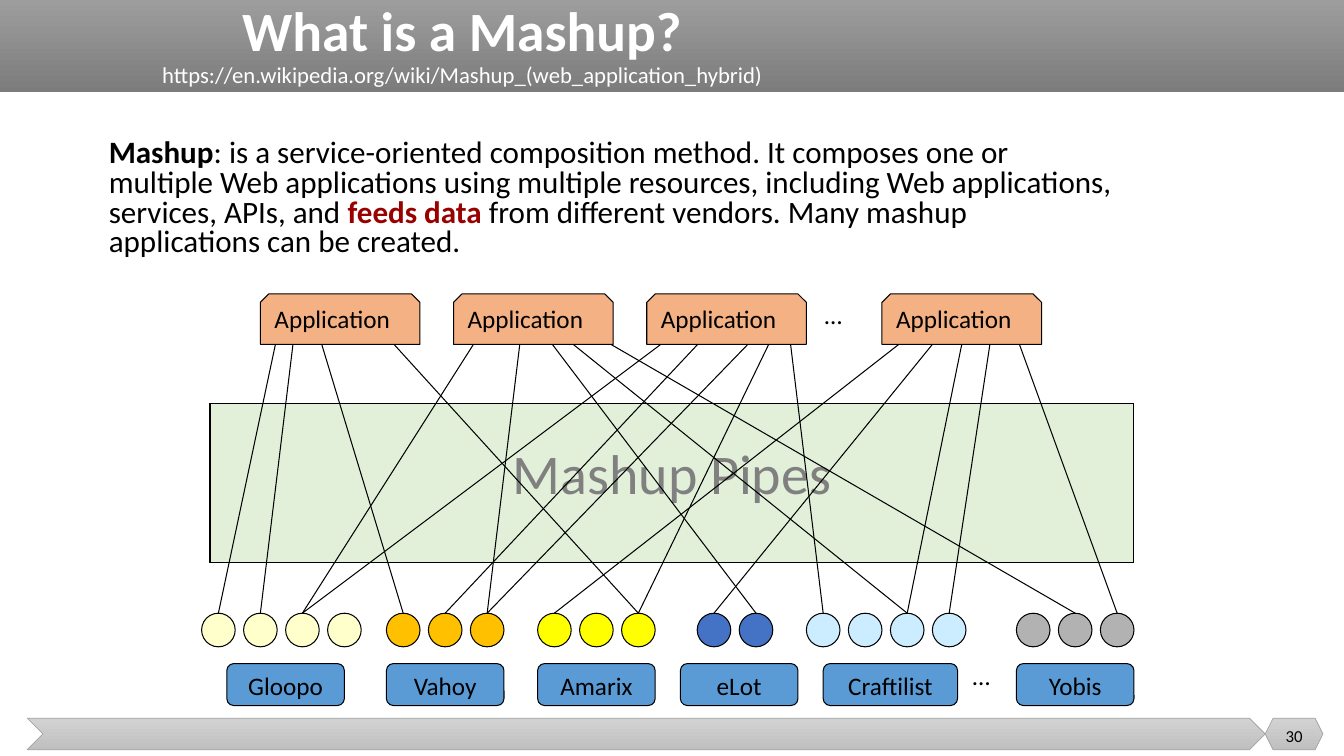
"""Builds the slide that explains mashups with a pipe diagram."""
from dataclasses import dataclass

import lxml.etree
import pptx
import pptx.dml.color
import pptx.enum.shapes
import pptx.enum.text
import pptx.oxml.ns
import pptx.util

SHAPE = pptx.enum.shapes.MSO_SHAPE
ALIGN = pptx.enum.text.PP_ALIGN
ANCHOR = pptx.enum.text.MSO_ANCHOR
EMU_PER_PX = 9525


@dataclass(frozen=True)
class Theme:
    """Colours, font and type sizes of the slide."""
    font: str = "Calibri"
    ink: str = "000000"
    paper: str = "FFFFFF"
    accent: str = "990000"
    banner: tuple = ("9D9D9D", "7C7C7C")
    footer: tuple = ("D2D2D2", "C0C0C0")
    footer_line: str = "A5A5A5"
    pipes: str = "E2F0D9"
    pipes_label: str = "808080"
    application: str = "F4B183"
    source: str = "5B9BD5"
    title_size: float = 39.6
    link_size: float = 16.2
    body_size: float = 22.2
    pipes_size: float = 40
    label_size: float = 18
    number_size: float = 12
    line_width: float = 0.75
    footer_line_width: float = 0.5


@dataclass(frozen=True)
class Source:
    """A data source, its ports, and links as (port, end x, end y)."""
    name: str
    left: int
    width: int
    ports_left: int
    port_count: int
    port_colour: str
    links: tuple


THEME = Theme()
APP_LEFTS = (248, 432, 616, 840)
APP_TOP, APP_WIDTH, APP_HEIGHT = 280, 152, 48
PIPES_BOX = (200, 384, 880, 152)
PORT_TOP, PORT_SIZE, PORT_PITCH = 584, 32, 40
SOURCE_TOP, SOURCE_HEIGHT = 632, 40
SOURCES = (
    Source("Gloopo", 216, 112, 192, 4, "FFFFCC",
           ((0, 264, 320), (1, 280, 320), (2, 456, 320), (2, 640, 320))),
    Source("Vahoy", 368, 112, 368, 3, "FFC000",
           ((0, 304, 320), (1, 672, 320), (2, 496, 320), (2, 720, 320))),
    Source("Amarix", 512, 112, 512, 3, "FFFF00",
           ((0, 856, 328), (2, 368, 320), (2, 736, 320))),
    Source("eLot", 648, 112, 664, 2, "4472C4",
           ((0, 888, 328), (1, 520, 320))),
    Source("Craftilist", 784, 128, 768, 4, "CCECFF",
           ((0, 752, 320), (2, 536, 320), (2, 916, 328), (3, 944, 320))),
    Source("Yobis", 968, 112, 968, 3, "B2B2B2",
           ((1, 568, 320), (2, 968, 320))),
)


def px(length):
    """Turn pixels into EMU."""
    return pptx.util.Emu(length * EMU_PER_PX)


def rgb(colour):
    """Turn a hex string into a colour."""
    return pptx.dml.color.RGBColor.from_string(colour)


def add_run(paragraph, text, size, colour=THEME.ink, bold=False):
    """Append a formatted run to a paragraph."""
    run = paragraph.add_run()
    run.text = text
    run.font.name = THEME.font
    run.font.size = pptx.util.Pt(size)
    run.font.bold = bold
    run.font.color.rgb = rgb(colour)


def add_box(slide, preset, box, fill=None, line=THEME.ink, width=THEME.line_width):
    """Add a preset shape; a pair of colours makes a vertical gradient."""
    shape = slide.shapes.add_shape(preset, *map(px, box))
    shape.shadow.inherit = False
    if fill is None:
        shape.fill.background()
    elif isinstance(fill, tuple):
        shape.fill.gradient()
        shape.fill.gradient_angle = 270
        for stop, colour in zip(shape.fill.gradient_stops, fill):
            stop.color.rgb = rgb(colour)
    else:
        shape.fill.solid()
        shape.fill.fore_color.rgb = rgb(fill)
    if line is None:
        shape.line.fill.background()
    else:
        shape.line.color.rgb = rgb(line)
        shape.line.width = pptx.util.Pt(width)
    return shape


def add_label(shape, text, size=THEME.label_size, colour=THEME.ink,
              align=ALIGN.CENTER, anchor=ANCHOR.TOP):
    """Write one line of text into a shape."""
    frame = shape.text_frame
    frame.vertical_anchor = anchor
    frame.paragraphs[0].alignment = align
    add_run(frame.paragraphs[0], text, size, colour)


def add_note(slide, box, text, wrap=False, **style):
    """Add a free-standing label."""
    note = slide.shapes.add_textbox(*map(px, box))
    note.text_frame.word_wrap = wrap
    add_label(note, text, **style)


def add_link(slide, start, end):
    """Add a straight line between two points."""
    link = slide.shapes.add_connector(
        pptx.enum.shapes.MSO_CONNECTOR.STRAIGHT, *map(px, start + end))
    link.line.color.rgb = rgb(THEME.ink)
    link.line.width = pptx.util.Pt(THEME.line_width)
    lxml.etree.SubElement(link._element.spPr, pptx.oxml.ns.qn("a:effectLst"))


def place(slide, placeholder, box):
    """Move a placeholder to a box in front of the backdrop."""
    placeholder.left, placeholder.top, placeholder.width, placeholder.height = map(px, box)
    slide.shapes._spTree.append(placeholder._element)
    placeholder.text_frame.auto_size = pptx.enum.text.MSO_AUTO_SIZE.NONE
    placeholder.text_frame.word_wrap = True
    return placeholder.text_frame


def add_backdrop(slide):
    """Draw the top banner and the footer band."""
    add_box(slide, SHAPE.RECTANGLE, (0, 0, 1280, 88), THEME.banner, None)
    for preset, left, width in ((SHAPE.CHEVRON, 26, 1179), (SHAPE.HEXAGON, 1205, 55)):
        add_box(slide, preset, (left, 684, width, 30), THEME.footer,
                THEME.footer_line, THEME.footer_line_width)
    add_note(slide, (1205, 682, 55, 38), "30", wrap=True,
             size=THEME.number_size, anchor=ANCHOR.MIDDLE)


def write_title(slide):
    """Fill the title placeholder with the question and its link."""
    frame = place(slide, slide.shapes.title, (8, 8, 864, 72))
    frame.vertical_anchor = ANCHOR.MIDDLE
    heading = frame.paragraphs[0]
    heading.alignment = ALIGN.CENTER
    heading.line_spacing = 0.9
    add_run(heading, "What is a Mashup?", THEME.title_size, THEME.paper, True)
    heading.add_line_break()
    add_run(heading, "https://en.wikipedia.org/wiki/Mashup_(web_application_hybrid)",
            THEME.link_size, THEME.paper)


def write_definition(slide):
    """Fill the body placeholder with the definition."""
    frame = place(slide, slide.placeholders[1], (70, 128, 1001, 136))
    definition = frame.paragraphs[0]
    properties = definition._p.get_or_add_pPr()
    properties.set("marL", str(px(24)))
    properties.set("indent", "0")
    lxml.etree.SubElement(properties, pptx.oxml.ns.qn("a:buNone"))
    definition.line_spacing = 0.8
    definition.space_before = pptx.util.Pt(0)
    add_run(definition, "Mashup", THEME.body_size, bold=True)
    add_run(definition, ": is a service-oriented composition method. It composes one or "
            "multiple Web applications using multiple resources, including Web "
            "applications, services, APIs, and ", THEME.body_size)
    add_run(definition, "feeds data ", THEME.body_size, THEME.accent, True)
    add_run(definition, "from different vendors. Many mashup applications can be created.",
            THEME.body_size)


def add_source(slide, source):
    """Draw a source with its ports and links."""
    box = (source.left, SOURCE_TOP, source.width, SOURCE_HEIGHT)
    add_label(add_box(slide, SHAPE.ROUNDED_RECTANGLE, box, THEME.source), source.name)
    for port in range(source.port_count):
        left = source.ports_left + port * PORT_PITCH
        add_box(slide, SHAPE.OVAL, (left, PORT_TOP, PORT_SIZE, PORT_SIZE), source.port_colour)
    for port, x, y in source.links:
        centre = source.ports_left + port * PORT_PITCH + PORT_SIZE // 2
        add_link(slide, (centre, PORT_TOP), (x, y))


def add_diagram(slide):
    """Draw pipes, sources and applications."""
    pipes = add_box(slide, SHAPE.RECTANGLE, PIPES_BOX, THEME.pipes)
    pipes.text_frame.margin_top = px(34)
    add_label(pipes, "Mashup Pipes", THEME.pipes_size, THEME.pipes_label)
    for source in SOURCES:
        add_source(slide, source)
    add_box(slide, SHAPE.RECTANGLE, PIPES_BOX)
    for left in APP_LEFTS:
        application = add_box(slide, SHAPE.SNIP_2_SAME_RECTANGLE,
                              (left, APP_TOP, APP_WIDTH, APP_HEIGHT), THEME.application)
        add_label(application, "Application", align=ALIGN.LEFT)
    for left, top in ((776, 280), (917, 624)):
        add_note(slide, (left, top, 43, 38), "…", align=ALIGN.LEFT)


def main():
    """Build and save the slide."""
    deck = pptx.Presentation()
    deck.slide_width, deck.slide_height = px(1280), px(720)
    slide = deck.slides.add_slide(deck.slide_layouts[1])
    add_backdrop(slide)
    write_title(slide)
    write_definition(slide)
    add_diagram(slide)
    deck.save("out.pptx")


if __name__ == "__main__":
    main()
